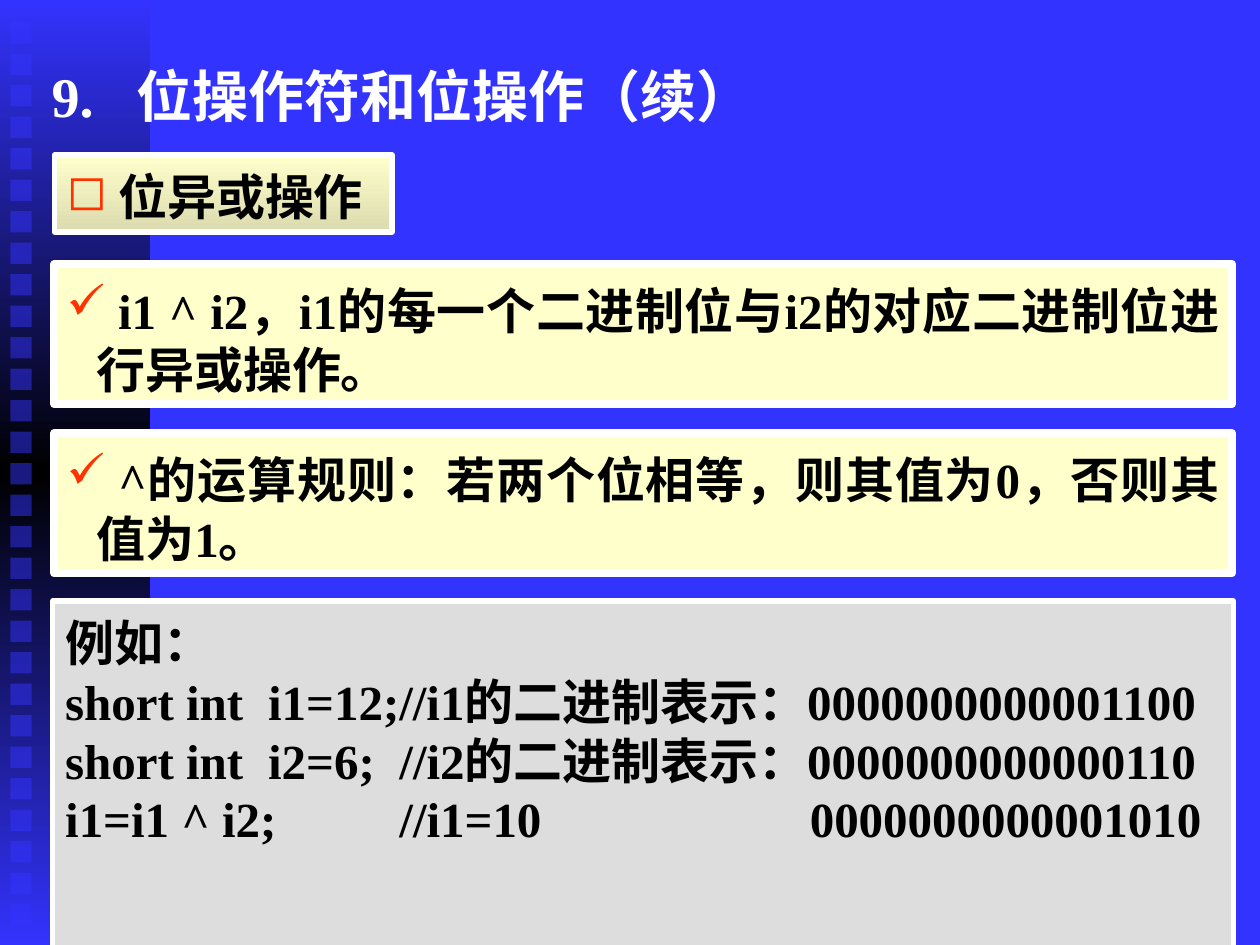
"""Build the slide on the bitwise exclusive-or operation."""
from copy import deepcopy

from lxml import etree
from pptx import Presentation
from pptx.dml.color import RGBColor
from pptx.enum import shapes, text
from pptx.oxml import ns
from pptx.util import Pt

COLORS = {
    "blue": "3333FF", "black": "000000", "white": "FFFFFF", "cream": "FFFFCC",
    "khaki": "DBDBAF", "gray": "DDDDDD", "red": "FF3300",
}
FONT = "Times New Roman"
LEFT, WIDTH = 31, 673


def rgb(name):
    return RGBColor.from_string(COLORS[name])


def add_tag(parent, tag, **attrs):
    return etree.SubElement(parent, ns.qn(tag), **attrs)


def paint(shape, names):
    fill = shape.fill
    if len(names) == 1:
        fill.solid()
        fill.fore_color.rgb = rgb(names[0])
        return
    fill.gradient()
    fill.gradient_angle = 270
    stops = next(shape._element.spPr.iter(ns.qn("a:gsLst")))
    while len(stops) < len(names):
        stops.append(deepcopy(stops[0]))
    for i, (stop, name) in enumerate(zip(fill.gradient_stops, names)):
        stop.color.rgb = rgb(name)
        stop.position = i / (len(names) - 1)


def add_rect(slide, box, names, line=0):
    rect = slide.shapes.add_shape(shapes.MSO_SHAPE.RECTANGLE, *map(Pt, box))
    rect.shadow.inherit = False
    paint(rect, names)
    if line:
        rect.line.color.rgb = rgb("white")
        rect.line.width = Pt(line)
    else:
        rect.line.fill.background()
    return rect


def add_rail(slide):
    add_rect(slide, (0, 0, 85.7, 540), ["blue", "black", "blue"])
    for i in range(29):
        square = add_rect(slide, (6, 12.7 + 18 * i, 12.2, 12.2), ["blue"])
        color = next(square._element.spPr.iter(ns.qn("a:srgbClr")))
        add_tag(color, "a:alpha", val="50000")


def set_tabs(para, stops):
    tabs = add_tag(para._p.get_or_add_pPr(), "a:tabLst")
    for stop in stops:
        add_tag(tabs, "a:tab", pos=str(Pt(stop)), algn="l")


def set_bullet(para, mark):
    props = para._p.get_or_add_pPr()
    props.set("marL", str(Pt(17)))
    props.set("indent", str(Pt(-17)))
    color = add_tag(props, "a:buClr")
    add_tag(color, "a:srgbClr", val=COLORS["red"])
    add_tag(props, "a:buChar", char=mark)


def write(shape, lines, size, color, top, align=text.PP_ALIGN.LEFT):
    frame = shape.text_frame
    frame.word_wrap = True
    frame.auto_size = text.MSO_AUTO_SIZE.NONE
    frame.vertical_anchor = text.MSO_ANCHOR.TOP
    frame.margin_left = frame.margin_right = Pt(7.2)
    frame.margin_top, frame.margin_bottom = Pt(top), Pt(3.6)
    frame.text = "\n".join(lines)
    for para in frame.paragraphs:
        para.alignment = align
        for run in para.runs:
            font = run.font
            font.name, font.size, font.bold = FONT, Pt(size), True
            font.color.rgb = rgb(color)
    return frame.paragraphs


def add_title(slide):
    title = slide.shapes.title
    slide.shapes._spTree.append(title._element)
    title.left, title.top, title.width, title.height = map(
        Pt, (22.3, 31.7, 678, 41.8))
    paras = write(title, ["9.\t位操作符和位操作（续）"], 32, "white", 3.6)
    set_tabs(paras[0], [48.5])


def add_topic(slide):
    box = add_rect(slide, (LEFT, 88.6, 193, 44), ["cream", "khaki"], 3)
    paras = write(box, [" 位异或操作"], 28, "black", 6.5)
    set_bullet(paras[0], "◻")


def add_rule(slide, top, words):
    box = add_rect(slide, (LEFT, top, WIDTH, 80), ["cream"], 4.5)
    paras = write(box, [words], 28, "black", 9.4, text.PP_ALIGN.JUSTIFY)
    set_bullet(paras[0], "✓")


def add_code(slide):
    lines = [
        "例如：",
        "short int\ti1=12;//i1的二进制表示：0000000000001100",
        "short int\ti2=6;\t//i2的二进制表示：0000000000000110",
        "i1=i1 ^ i2;\t//i1=10\t0000000000001010",
    ]
    box = add_rect(slide, (30.2, 343.5, 674.6, 211.7), ["gray"], 3)
    paras = write(box, lines, 28, "black", 6.5)
    for para in paras[1:3]:
        set_tabs(para, [116, 191])
    set_tabs(paras[3], [191, 425.5])


def main():
    deck = Presentation()
    deck.slide_width, deck.slide_height = Pt(720), Pt(540)
    slide = deck.slides.add_slide(deck.slide_layouts[5])
    slide.background.fill.solid()
    slide.background.fill.fore_color.rgb = rgb("blue")
    add_rail(slide)
    add_title(slide)
    add_topic(slide)
    add_rule(slide, 151, " i1 ^ i2，i1的每一个二进制位与i2的对应二进制位进行异或操作。")
    add_rule(slide, 247.7, " ^的运算规则：若两个位相等，则其值为0，否则其值为1。")
    add_code(slide)
    deck.save("out.pptx")


if __name__ == "__main__":
    main()
